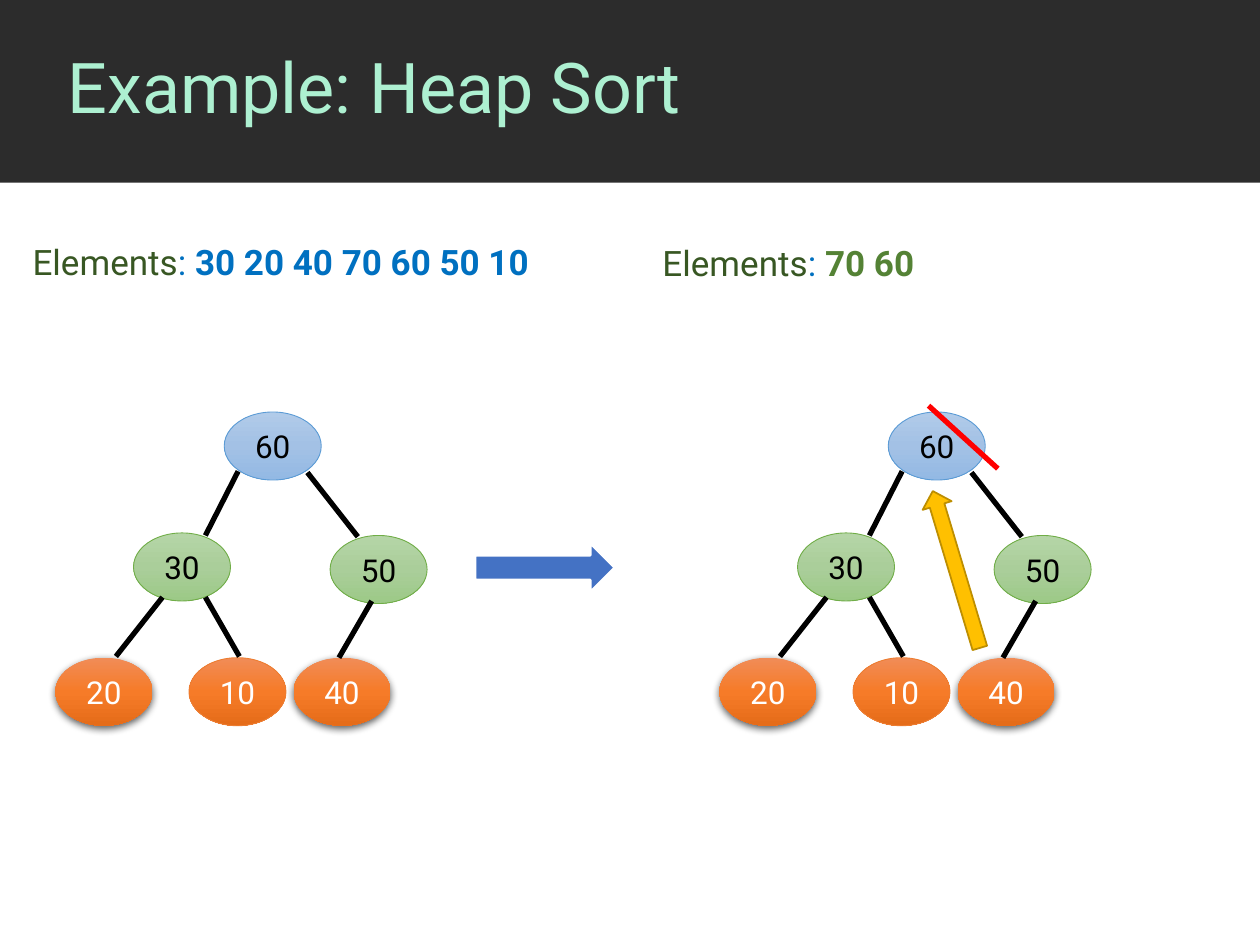
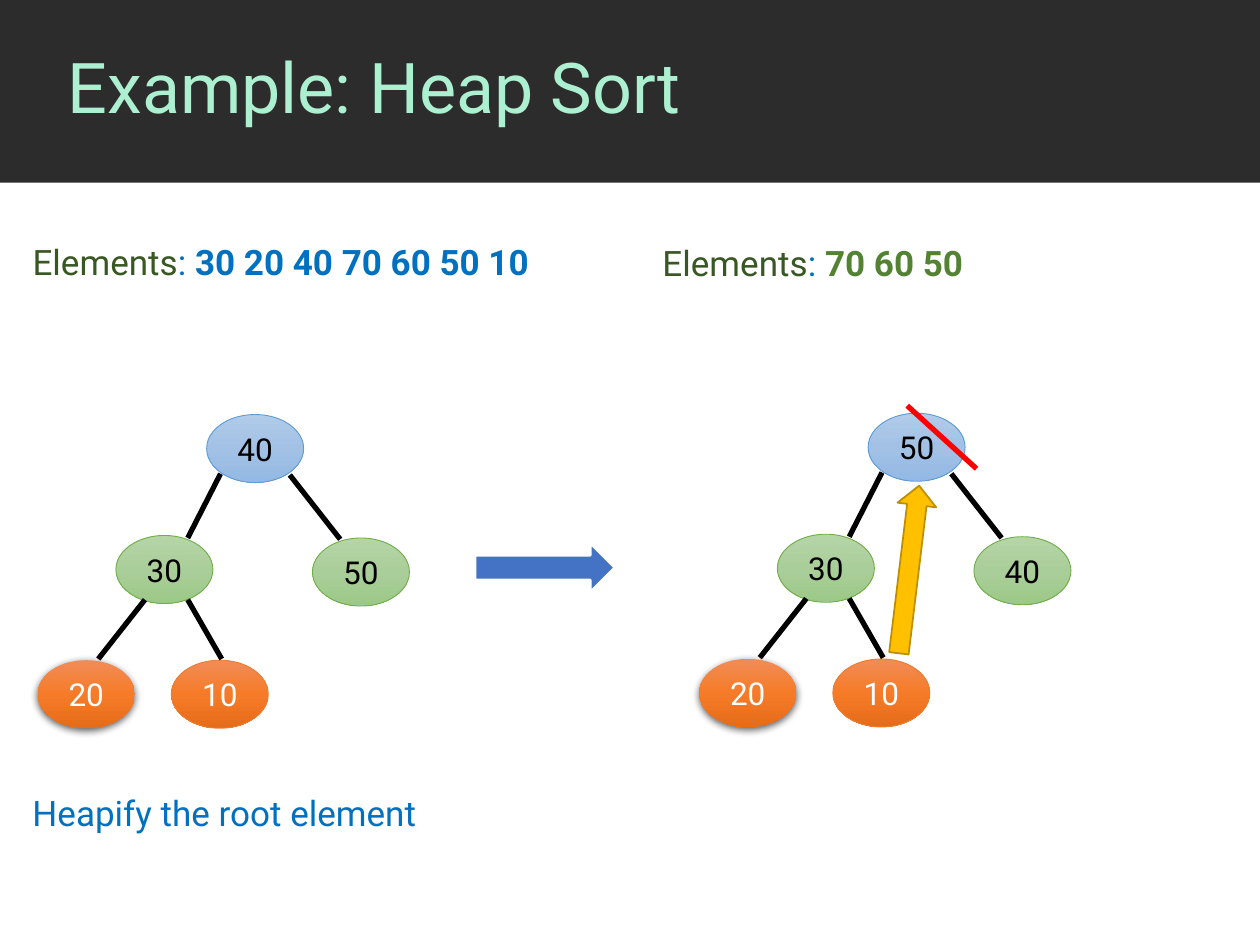
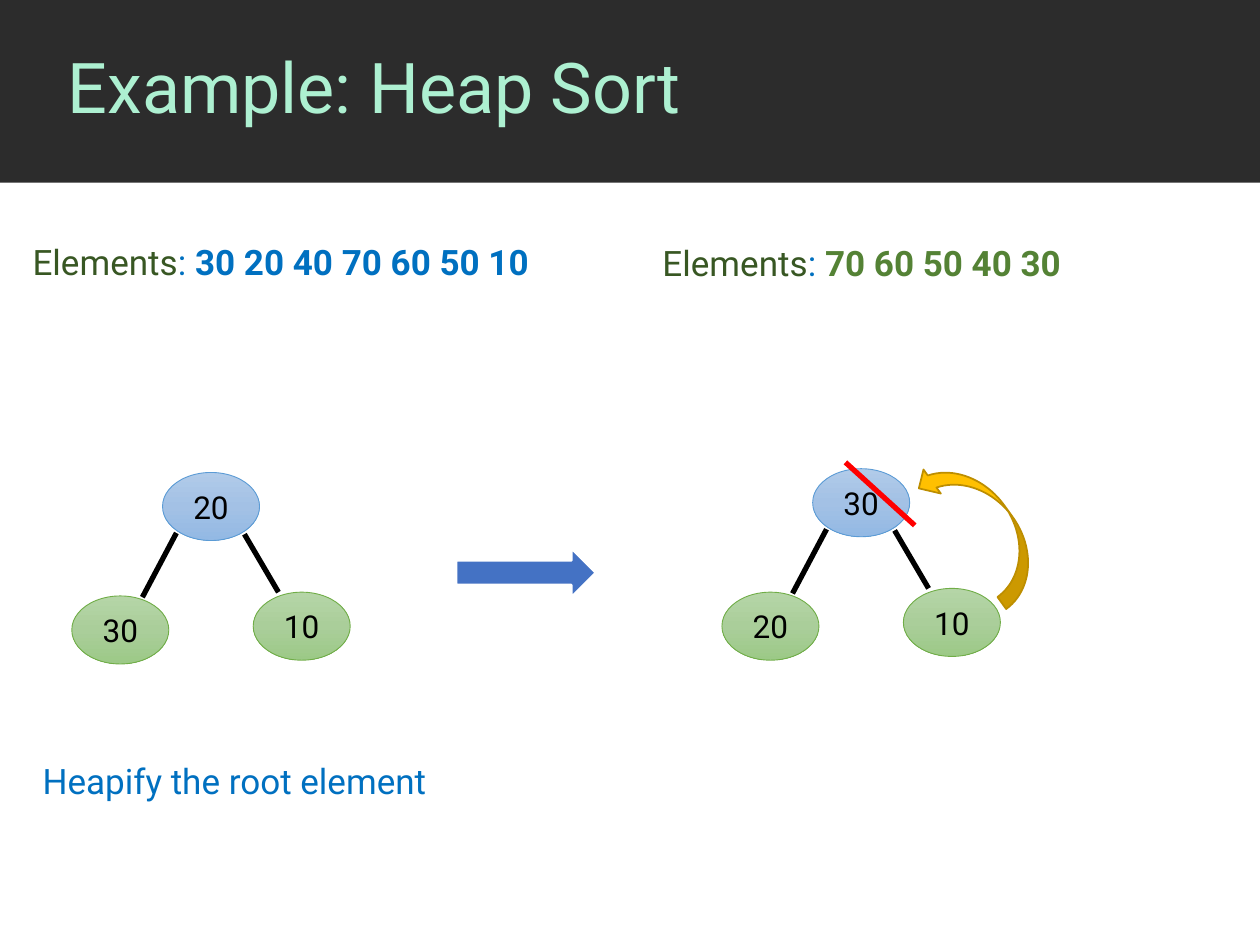
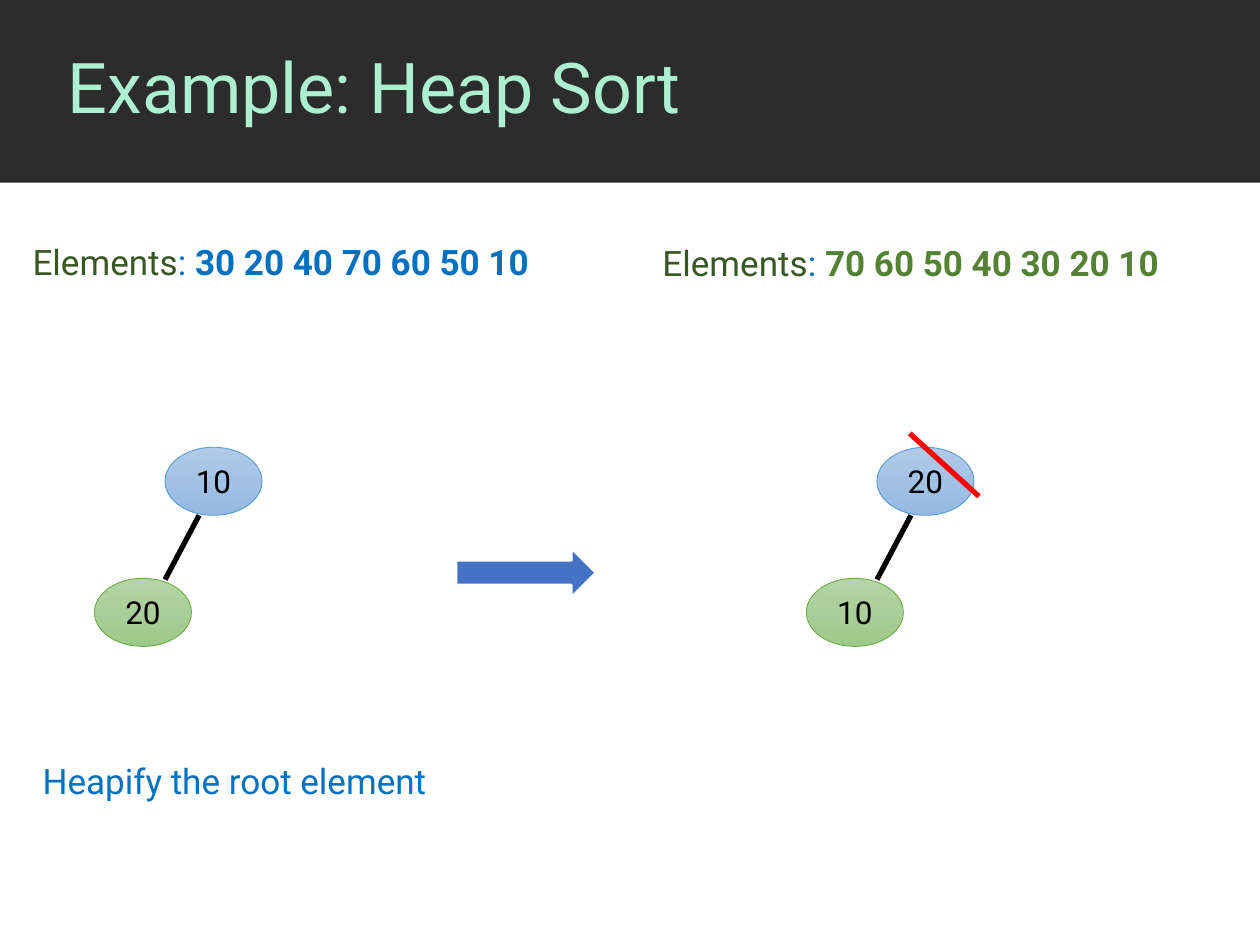
from copy import deepcopy

from lxml.etree import SubElement
from pptx import Presentation
from pptx.dml.color import RGBColor
from pptx.enum.shapes import MSO_CONNECTOR, MSO_SHAPE
from pptx.enum.text import MSO_ANCHOR, MSO_AUTO_SIZE, PP_ALIGN
from pptx.oxml.ns import qn
from pptx.util import Inches, Pt

BLACK = RGBColor(0x00, 0x00, 0x00)
WHITE = RGBColor(0xFF, 0xFF, 0xFF)
RED = RGBColor(0xFF, 0x00, 0x00)
CHARCOAL = RGBColor(0x2C, 0x2C, 0x2C)
MINT = RGBColor(0xAD, 0xF0, 0xD1)
DARK_GREEN = RGBColor(0x38, 0x57, 0x23)
SORTED_GREEN = RGBColor(0x54, 0x82, 0x35)
TEXT_BLUE = RGBColor(0x00, 0x70, 0xC0)
ARROW_BLUE = RGBColor(0x44, 0x72, 0xC4)
GOLD = RGBColor(0xFF, 0xC0, 0x00)
DARK_GOLD = RGBColor(0xBD, 0x8E, 0x00)
ROOT_LINE = RGBColor(0x5B, 0x9B, 0xD5)
INNER_LINE = RGBColor(0x70, 0xAD, 0x47)
LEAF_LINE = RGBColor(0xED, 0x7D, 0x31)
ROOT_FILL = (RGBColor(0xB1, 0xCB, 0xE9), RGBColor(0xA3, 0xC1, 0xE5), RGBColor(0x93, 0xB9, 0xE4))
INNER_FILL = (RGBColor(0xB5, 0xD5, 0xA7), RGBColor(0xAA, 0xCE, 0x9A), RGBColor(0x9C, 0xC9, 0x87))
LEAF_FILL = (RGBColor(0xF1, 0x8C, 0x57), RGBColor(0xF6, 0x7B, 0x28), RGBColor(0xE5, 0x6C, 0x19))

NODE_STYLES = {
    "root": (ROOT_FILL, ROOT_LINE, BLACK),
    "inner": (INNER_FILL, INNER_LINE, BLACK),
    "leaf": (LEAF_FILL, LEAF_LINE, WHITE),
    "raised": (LEAF_FILL, None, WHITE),
}
NODE_SIZE = (0.77, 0.54)

ROOT = ("root", 0, 0)
FIVE_NODES = [ROOT, ("inner", -0.72, 0.96), ("inner", 0.84, 0.98),
              ("raised", -1.34, 1.95), ("leaf", -0.28, 1.95)]
FIVE_EDGES = [(0.11, 0.47, -0.15, 0.98), (0.66, 0.48, 1.06, 0.99),
              (-0.49, 1.47, -0.86, 1.94), (-0.15, 1.47, 0.12, 1.94)]
SIX = (FIVE_NODES + [("raised", 0.55, 1.95)], FIVE_EDGES + [(1.17, 1.5, 0.91, 1.95)])
FIVE = (FIVE_NODES, FIVE_EDGES)
THREE = ([ROOT, ("inner", -0.72, 0.98), ("inner", 0.72, 0.95)],
         [(0.11, 0.48, -0.16, 0.99), (0.65, 0.49, 0.92, 0.95)])
TWO = ([ROOT, ("inner", -0.56, 1.04)], [(0.27, 0.54, 0, 1.05)])

UNSORTED = "30 20 40 70 60 50 10"
STEPS = [
    {"layout": SIX, "sorted": "70 60", "next": (3.77, 4.31), "strike": (7.37, 3.22),
     "before": (1.78, 3.27, "60 30 50 20 10 40"),
     "after": (7.05, 3.27, "60 30 50 20 10 40"),
     "move": (MSO_SHAPE.UP_ARROW, (7.47, 3.87, 0.24, 1.3), 343.3)},
    {"layout": FIVE, "sorted": "70 60 50", "next": (3.77, 4.31), "strike": (7.2, 3.22),
     "before": (1.64, 3.29, "40 30 50 20 10"),
     "after": (6.89, 3.28, "50 30 40 20 10"),
     "move": (MSO_SHAPE.UP_ARROW, (7.06, 3.85, 0.31, 1.34), 6.9),
     "caption": (0.16, 6.23)},
    {"layout": THREE, "sorted": "70 60 50 40 30", "next": (3.62, 4.35), "strike": (6.71, 3.67),
     "before": (1.29, 3.75, "20 30 10"),
     "after": (6.45, 3.72, "30 20 10"),
     "move": (MSO_SHAPE.CURVED_LEFT_ARROW, (7.56, 3.52, 0.47, 1.3), 324.1),
     "caption": (0.24, 5.98)},
    {"layout": TWO, "sorted": "70 60 50 40 30 20 10", "next": (3.62, 4.35), "strike": (7.22, 3.44),
     "before": (1.31, 3.55, "10 20"),
     "after": (6.96, 3.55, "20 10"),
     "caption": (0.24, 5.98)},
]


def inches(*lengths):
    return [Inches(length) for length in lengths]


def apply(target, values):
    for name, value in values.items():
        setattr(target, name, value)


class HeapDeck:
    font_name = "Roboto"

    def __init__(self):
        self.deck = Presentation()
        apply(self.deck, {"slide_width": Inches(10), "slide_height": Inches(7.5)})
        self.slide = None

    def new_slide(self, title):
        self.slide = self.deck.slides.add_slide(self.deck.slide_layouts[6])
        self.shape(MSO_SHAPE.RECTANGLE, (0, 0, 10, 1.45), CHARCOAL)
        heading = self.text((0.44, 0, 9.56, 1.44), [(title, MINT, False)], 40)
        apply(heading, {"auto_size": MSO_AUTO_SIZE.NONE, "vertical_anchor": MSO_ANCHOR.MIDDLE})
        heading.paragraphs[0].line_spacing = 0.9

    def run(self, paragraph, text, color, size, bold=False):
        run = paragraph.add_run()
        run.text = text
        apply(run.font, {"name": self.font_name, "size": Pt(size), "bold": bold})
        run.font.color.rgb = color

    def text(self, box, runs, size=20):
        frame = self.slide.shapes.add_textbox(*inches(*box)).text_frame
        apply(frame, {"word_wrap": True, "auto_size": MSO_AUTO_SIZE.SHAPE_TO_FIT_TEXT})
        for text, color, bold in runs:
            self.run(frame.paragraphs[0], text, color, size, bold)
        return frame

    def elements(self, left, top, width, numbers, color):
        self.text((left, top, width, 0.44), [
            ("Elements", DARK_GREEN, False), (": ", TEXT_BLUE, False), (numbers, color, True)])

    def shape(self, preset, box, fill=None, line=None, weight=1.0):
        shape = self.slide.shapes.add_shape(preset, *inches(*box))
        shape.shadow.inherit = False
        if fill is not None:
            shape.fill.solid()
            shape.fill.fore_color.rgb = fill
        if line is None:
            shape.line.fill.background()
        else:
            shape.line.color.rgb = line
            shape.line.width = Pt(weight)
        return shape

    def gradient(self, shape, colors):
        shape.fill.gradient()
        shape.fill.gradient_angle = 270
        stop_list = shape._element.spPr.find(".//" + qn("a:gsLst"))
        stop_list.insert(1, deepcopy(stop_list[0]))
        for stop, color, position in zip(shape.fill.gradient_stops, colors, (0, 0.5, 1)):
            stop.color.rgb = color
            stop.position = position

    def drop_shadow(self, shape):
        effects = shape._element.spPr.find(qn("a:effectLst"))
        shadow = SubElement(effects, qn("a:outerShdw"), blurRad=str(Pt(4.5)),
                            dist=str(Pt(1.5)), dir="5400000", rotWithShape="0")
        color = SubElement(shadow, qn("a:srgbClr"), val=str(BLACK))
        SubElement(color, qn("a:alpha"), val="63000")

    def node(self, kind, left, top, number):
        fill, line, text_color = NODE_STYLES[kind]
        node = self.shape(MSO_SHAPE.OVAL, (left, top, *NODE_SIZE), line=line, weight=0.5)
        self.gradient(node, fill)
        if kind == "raised":
            self.drop_shadow(node)
        node.text_frame.vertical_anchor = MSO_ANCHOR.MIDDLE
        paragraph = node.text_frame.paragraphs[0]
        paragraph.alignment = PP_ALIGN.CENTER
        self.run(paragraph, number, text_color, 18)

    def line(self, x1, y1, x2, y2, color=BLACK):
        line = self.slide.shapes.add_connector(MSO_CONNECTOR.STRAIGHT, *inches(x1, y1, x2, y2))
        line.line.color.rgb = color
        line.line.width = Pt(3)
        SubElement(line._element.spPr, qn("a:effectLst"))

    def tree(self, layout, left, top, numbers):
        nodes, edges = layout
        for (kind, dx, dy), number in zip(nodes, numbers.split()):
            self.node(kind, left + dx, top + dy, number)
        for x1, y1, x2, y2 in edges:
            self.line(left + x1, top + y1, left + x2, top + y2)

    def next_arrow(self, left, top):
        self.shape(MSO_SHAPE.RIGHT_ARROW, (left, top, 1.11, 0.39), ARROW_BLUE, WHITE, 1.5)

    def strike(self, left, top):
        self.line(left, top, left + 0.55, top + 0.5, RED)

    def move_arrow(self, preset, box, rotation):
        arrow = self.shape(preset, box, GOLD, DARK_GOLD)
        arrow.rotation = rotation
        if preset == MSO_SHAPE.CURVED_LEFT_ARROW:
            arrow._element.spPr.xfrm.set("flipV", "1")

    def caption(self, left, top):
        self.text((left, top, 4.2, 0.44), [("Heapify the root element", TEXT_BLUE, False)])

    def step(self, step):
        self.new_slide("Example: Heap Sort")
        self.elements(0.16, 1.86, 4.28, UNSORTED, TEXT_BLUE)
        self.elements(5.16, 1.87, 4.2, step["sorted"], SORTED_GREEN)
        self.tree(step["layout"], *step["before"])
        self.next_arrow(*step["next"])
        self.tree(step["layout"], *step["after"])
        self.strike(*step["strike"])
        if "move" in step:
            self.move_arrow(*step["move"])
        if "caption" in step:
            self.caption(*step["caption"])


def main():
    heap_deck = HeapDeck()
    for step in STEPS:
        heap_deck.step(step)
    heap_deck.deck.save("out.pptx")


if __name__ == "__main__":
    main()
